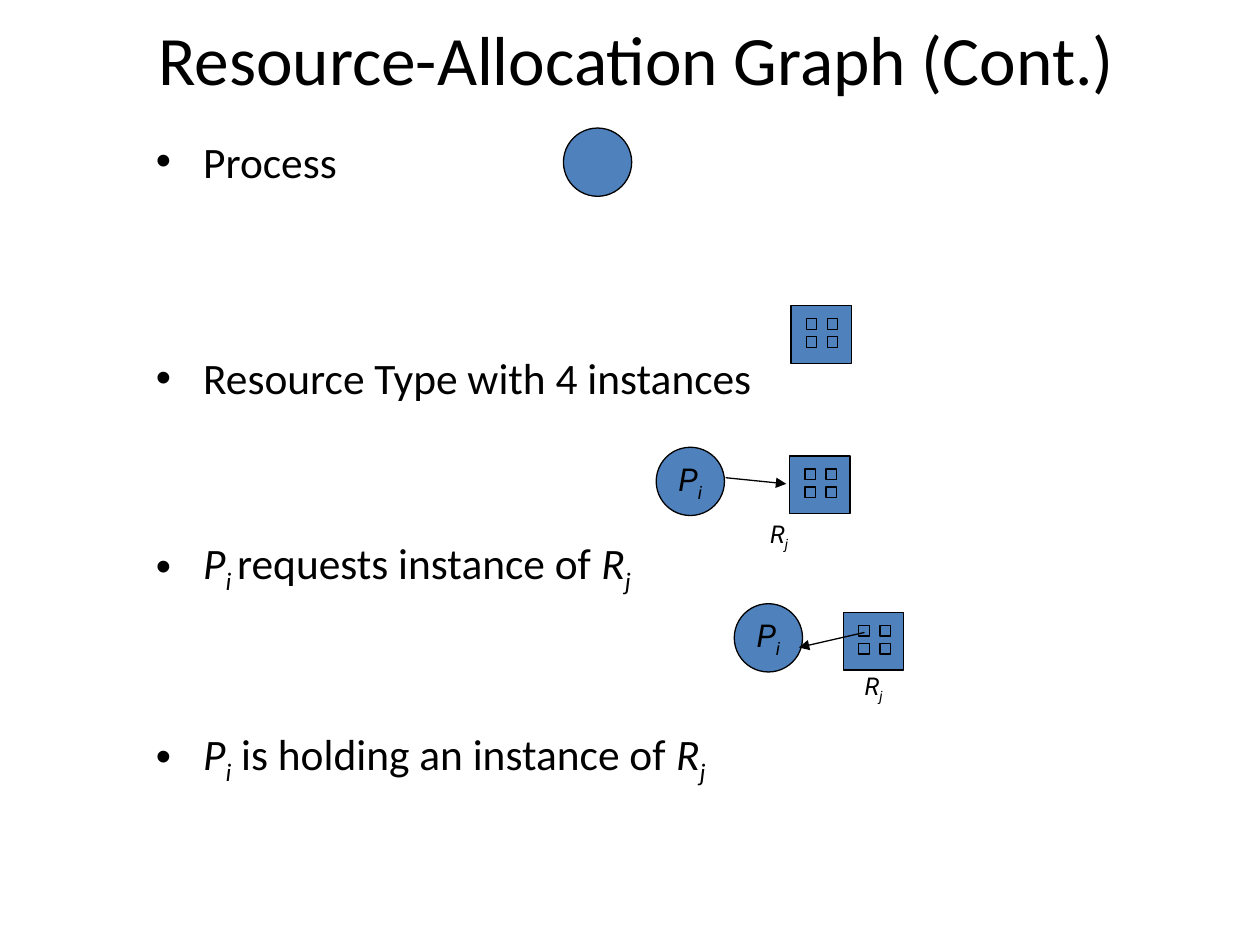
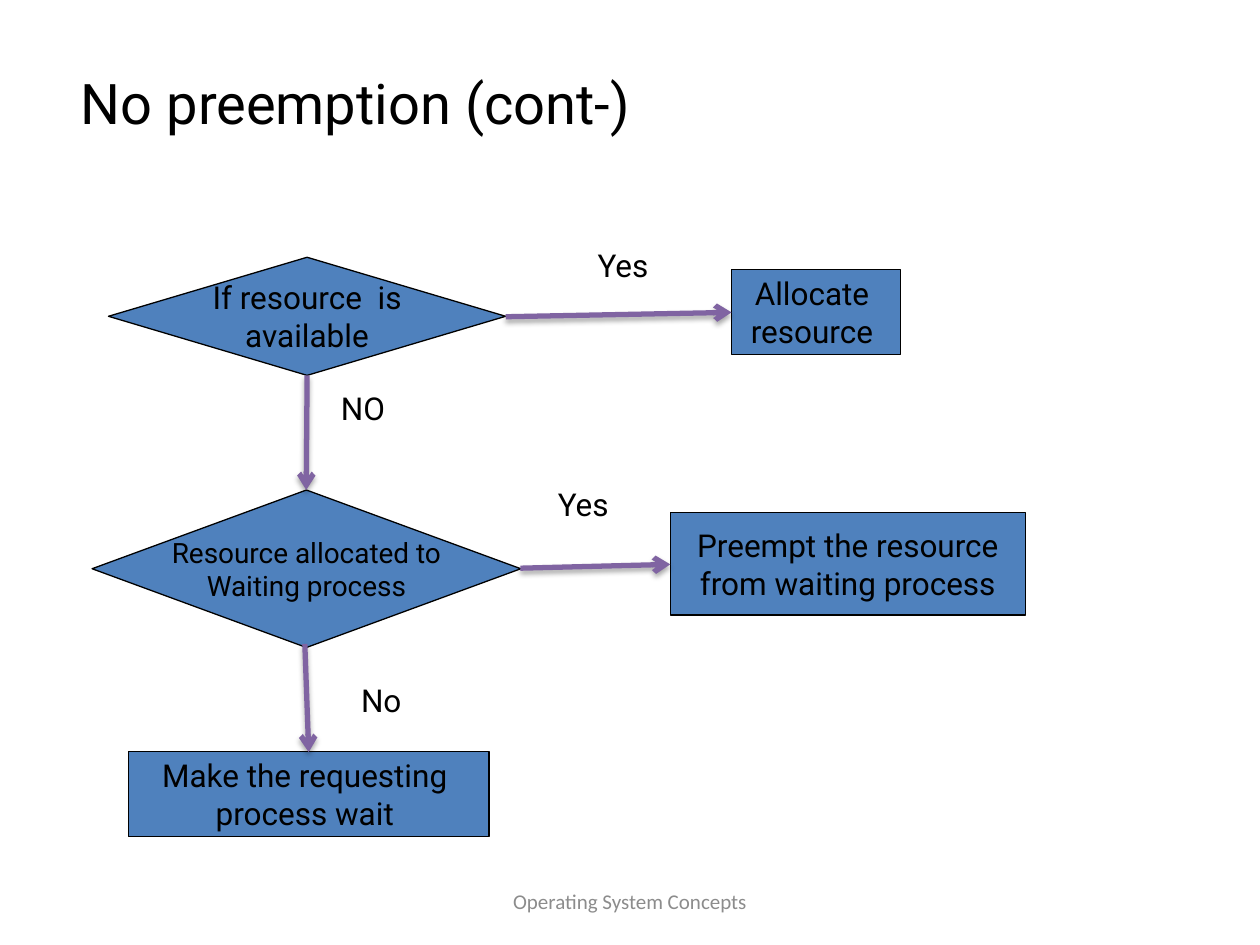
from dataclasses import dataclass
from lxml.etree import SubElement
from pptx import Presentation
from pptx.dml.color import RGBColor as RGB
from pptx.enum.shapes import MSO_CONNECTOR as LINK, MSO_SHAPE as KIND
from pptx.enum.text import MSO_ANCHOR as ANCHOR, PP_ALIGN as ALIGN
from pptx.oxml.ns import qn
from pptx.util import Pt


@dataclass(frozen=True)
class Theme:
    """Colours, faces and type sizes of the deck."""
    ink: RGB = RGB(0, 0, 0)
    blue: RGB = RGB(0x4F, 0x81, 0xBD)
    violet: RGB = RGB(0x80, 0x64, 0xA2)
    grey: RGB = RGB(0x8C, 0x8C, 0x8C)
    serif: str = "Calibri"
    plain: str = "Roboto"
    head: float = 39.6
    title: float = 32
    body: float = 24.8
    node: float = 18
    small: float = 16
    tag: float = 14
    foot: float = 12
    thin: float = 0.75
    thick: float = 3


look = Theme()


def write(frame, lines, size, face=look.plain, tint=look.ink,
          align=ALIGN.CENTER, anchor=ANCHOR.MIDDLE, wrap=False):
    """Fill a frame; a line is a list of (text, style), style i or s (sub)."""
    frame.word_wrap = wrap
    frame.vertical_anchor = anchor
    for num, line in enumerate(lines):
        para = frame.paragraphs[0] if num == 0 else frame.add_paragraph()
        para.alignment = align
        for text, style in [(line, "")] if isinstance(line, str) else line:
            run = para.add_run()
            run.text = text
            font = run.font
            font.name, font.size = face, Pt(size)
            font.color.rgb = tint
            if style:
                font.italic = True
            if style == "s":
                run._r.get_or_add_rPr().set("baseline", "-25000")


def draw(host, kind, *box):
    """Add a blue shape with a thin outline."""
    shape = host.add_shape(kind, *map(Pt, box))
    shape.shadow.inherit = False
    shape.fill.solid()
    shape.fill.fore_color.rgb = look.blue
    shape.line.color.rgb = look.ink
    shape.line.width = Pt(look.thin)
    return shape


deck = Presentation()
deck.slide_width, deck.slide_height = Pt(720), Pt(540)
graph, flow = [deck.slides.add_slide(deck.slide_layouts[5]) for _ in range(2)]

# Titles
for slide, text, box, size, face, align, anchor in [
    (graph, "Resource-Allocation Graph (Cont.)", (57.6, 0, 612, 66),
     look.head, look.serif, ALIGN.CENTER, ANCHOR.MIDDLE),
    (flow, "No preemption (cont-)", (39, 35.5, 646, 85),
     look.title, look.plain, ALIGN.LEFT, ANCHOR.TOP),
]:
    title = slide.shapes.title
    title.left, title.top, title.width, title.height = map(Pt, box)
    write(title.text_frame, [text], size, face, align=align, anchor=anchor,
          wrap=True)

# Legend of the graph
proc = [("P", "i"), ("i", "s")]
res = [("R", "i"), ("j", "s")]
body = graph.shapes.add_textbox(Pt(82), Pt(73.5), Pt(554), Pt(400)).text_frame
write(body, [
    "Process",
    "Resource Type with 4 instances",
    [("P", "i"), ("i ", "s"), ("requests instance of ", ""), *res],
    [*proc, (" is holding an instance of ", ""), *res],
], look.body, look.serif, align=ALIGN.LEFT, anchor=ANCHOR.TOP, wrap=True)
for para, gap in zip(body.paragraphs, (0, 94, 76, 75)):
    para.space_before = Pt(gap)
    props = para._p.get_or_add_pPr()
    props.set("marL", str(Pt(27)))
    props.set("indent", str(-Pt(27)))
    SubElement(props, qn("a:buFont")).set("typeface", "Arial")
    SubElement(props, qn("a:buChar")).set("char", "•")

# Processes and resource types
for x, y, text in [(322, 73.2, None), (375, 255.6, proc), (419.6, 345, proc)]:
    disc = draw(graph.shapes, KIND.OVAL, x, y, 39, 39)
    if text:
        write(disc.text_frame, [text], look.node)
for x, y in [(452, 174.7), (451.2, 260.6), (482, 350)]:
    group = graph.shapes.add_group_shape().shapes
    draw(group, KIND.RECTANGLE, x, y, 34.5, 33)
    for row in range(2):
        for col in range(2):
            draw(group, KIND.RECTANGLE,
                 x + 8.8 + 12 * col, y + 7.5 + 10.3 * row, 6, 6)

# Steps of the flow chart
ask, step = KIND.FLOWCHART_DECISION, KIND.FLOWCHART_PROCESS
for kind, box, lines, size in [
    (ask, (62, 147, 227, 67.5), ["If resource  is", " available "], look.node),
    (step, (418, 154, 96.5, 48.5), ["Allocate ", "resource "], look.node),
    (ask, (52.6, 280, 245, 90), ["Resource allocated to", "Waiting process"],
     look.small),
    (step, (73.4, 429.5, 206, 48.5), ["Make the requesting ", "process wait "],
     look.node),
    (step, (383, 293, 203, 58.5),
     ["Preempt the resource", " from waiting process "], look.node),
]:
    write(draw(flow.shapes, kind, *box).text_frame, lines, size)

# Labels and footer
for slide, box, text, size, face, tint in [
    (graph, (432, 294, 26.6, 23.8), res, look.tag, look.plain, look.ink),
    (graph, (486, 381, 26.6, 23.8), res, look.tag, look.plain, look.ink),
    (flow, (328, 137, 56, 29), "Yes", look.node, look.plain, look.ink),
    (flow, (187, 222.5, 41, 21), "NO", look.node, look.plain, look.ink),
    (flow, (311, 273.6, 49, 29), "Yes ", look.node, look.plain, look.ink),
    (flow, (196.6, 386.6, 42.5, 26.6), "No", look.node, look.plain, look.ink),
    (flow, (246, 500.5, 228, 28.8), "Operating System Concepts",
     look.foot, look.serif, look.grey),
]:
    label = slide.shapes.add_textbox(*map(Pt, box))
    write(label.text_frame, [text], size, face, tint)

# Arrows: thin on the graph, thick with a soft shadow on the flow chart
for slide, tint, width, head, ends in [
    (graph, look.ink, look.thin, "triangle",
     [(414.7, 273, 449.3, 276.5), (494, 361.4, 456.5, 370)]),
    (flow, look.violet, look.thick, "arrow",
     [(175.5, 214.5, 175, 280), (289, 181, 418, 178.5),
      (174.2, 368, 176.4, 429.8), (297.4, 324.7, 383, 322.5)]),
]:
    for end in ends:
        arrow = slide.shapes.add_connector(LINK.STRAIGHT, *map(Pt, end))
        arrow.line.color.rgb = tint
        arrow.line.width = Pt(width)
        props = arrow._element.spPr
        SubElement(props.find(qn("a:ln")), qn("a:tailEnd")).set("type", head)
        effect = SubElement(props, qn("a:effectLst"))
        if slide is flow:
            shade = SubElement(effect, qn("a:outerShdw"), blurRad=str(Pt(3.1)),
                               dist=str(Pt(1.8)), dir="5400000", rotWithShape="0")
            black = SubElement(shade, qn("a:srgbClr"), val=str(look.ink))
            SubElement(black, qn("a:alpha"), val="35000")

deck.save("out.pptx")
